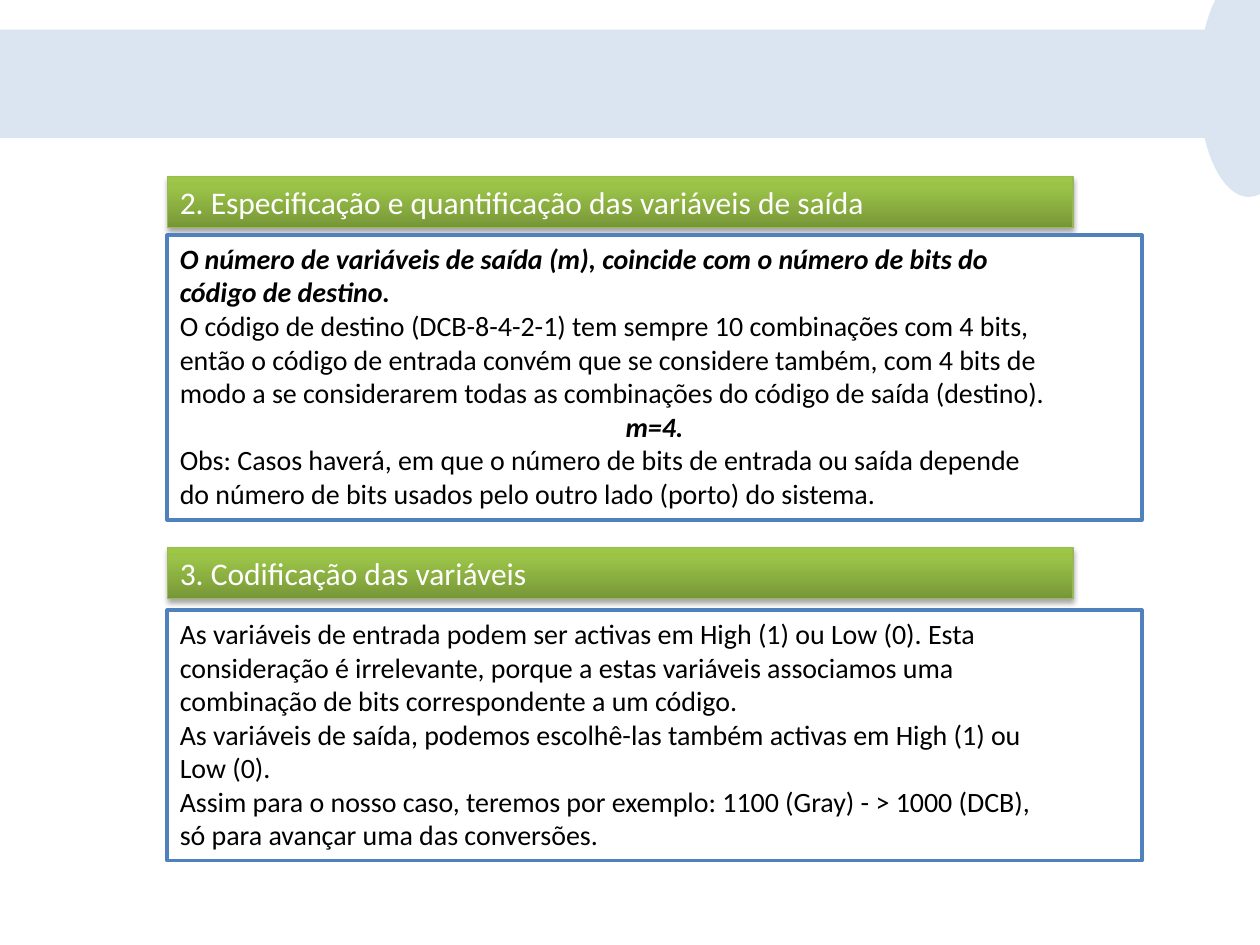
from copy import deepcopy

from lxml import etree
from pptx import Presentation
from pptx.dml.color import RGBColor
from pptx.enum.shapes import MSO_SHAPE
from pptx.enum.text import MSO_ANCHOR, MSO_AUTO_SIZE, PP_ALIGN
from pptx.oxml import parse_xml
from pptx.oxml.ns import nsdecls, qn
from pptx.util import Cm, Pt

RECTANGLE, OVAL = MSO_SHAPE.RECTANGLE, MSO_SHAPE.OVAL
TOP, FIXED_SIZE = MSO_ANCHOR.TOP, MSO_AUTO_SIZE.NONE
LEFT, CENTER, JUSTIFY = PP_ALIGN.LEFT, PP_ALIGN.CENTER, PP_ALIGN.JUSTIFY

COLORS = {
    "band": "DBE5F1", "heading_line": "98B955", "box_line": "4F81BD",
    "white": "FFFFFF", "black": "000000",
}
HEADING_GRADIENT = [(0, "779737"), (0.8, "9BC348"), (1, "9DC746")]
FONT = "Calibri"
STRONG = {"bold": True, "italic": True}

DECORATIONS = [
    (RECTANGLE, 0, 0.6, 24.61, 2.18),
    (OVAL, 24.16, -0.58, 2.03, 4.55),
]
SECTIONS = [
    {
        "heading": "2. Especificação e quantificação das variáveis de saída",
        "heading_top": 3.56, "box_top": 4.74, "box_height": 5.74,
        "lines": [
            ("O número de variáveis de saída (m), coincide com o número de bits do", STRONG),
            ("código de destino.", STRONG),
            ("O código de destino (DCB-8-4-2-1) tem sempre 10 combinações com 4 bits,", {}),
            ("então o código de entrada convém que se considere também, com 4 bits de", {}),
            ("modo a se considerarem todas as combinações do código de saída (destino).", {}),
            ("m=4.", {**STRONG, "align": CENTER}),
            ("Obs: Casos haverá, em que o número de bits de entrada ou saída depende", {}),
            ("do número de bits usados pelo outro lado (porto) do sistema.", {}),
        ],
    },
    {
        "heading": "3. Codificação das variáveis",
        "heading_top": 11.04, "box_top": 12.3, "box_height": 5.05,
        "lines": [
            ("As variáveis de entrada podem ser activas em High (1) ou Low (0). Esta", {}),
            ("consideração é irrelevante, porque a estas variáveis associamos uma", {}),
            ("combinação de bits correspondente a um código.", {}),
            ("As variáveis de saída, podemos escolhê-las também activas em High (1) ou", {}),
            ("Low (0).", {}),
            ("Assim para o nosso caso, teremos por exemplo: 1100 (Gray) - > 1000 (DCB),", {}),
            ("só para avançar uma das conversões.", {}),
        ],
    },
]
SECTION_LEFT, HEADING_WIDTH, HEADING_HEIGHT, BOX_WIDTH = 3.37, 18.26, 1.02, 19.65
HANGING = Cm(0.97)


def rgb(name):
    return RGBColor.from_string(COLORS[name])


def place(shape, left, top, width, height):
    shape.left, shape.top = Cm(left), Cm(top)
    shape.width, shape.height = Cm(width), Cm(height)


def write(paragraph, text, size=16, color="black", bold=False, italic=False, align=JUSTIFY):
    properties = paragraph._p.get_or_add_pPr()
    properties.set("marL", str(HANGING))
    properties.set("indent", str(-HANGING))
    etree.SubElement(properties, qn("a:buNone"))
    paragraph.alignment = align
    paragraph.space_before = Pt(0)
    run = paragraph.add_run()
    run.text = text
    font = run.font
    font.name, font.size, font.bold, font.italic = FONT, Pt(size), bold, italic
    font.color.rgb = rgb(color)


def prepare(shape, line_color, line_width):
    shape.line.color.rgb = rgb(line_color)
    shape.line.width = Pt(line_width)
    frame = shape.text_frame
    frame.word_wrap, frame.auto_size, frame.vertical_anchor = True, FIXED_SIZE, TOP
    return frame


def fill_heading(shape):
    fill = shape.fill
    fill.gradient()
    fill.gradient_angle = 90
    stop_list = shape._element.spPr.find(qn("a:gradFill")).find(qn("a:gsLst"))
    stop_list.append(deepcopy(stop_list[-1]))
    for stop, (position, color) in zip(fill.gradient_stops, HEADING_GRADIENT):
        stop.position = position
        stop.color.rgb = RGBColor.from_string(color)


def add_shadow(shape):
    shape._element.spPr.append(parse_xml(
        f'<a:effectLst {nsdecls("a")}><a:outerShdw blurRad="{Pt(3.1)}" dist="{Pt(1.8)}" '
        f'dir="5400000" rotWithShape="0"><a:srgbClr val="{COLORS["black"]}">'
        '<a:alpha val="35000"/></a:srgbClr></a:outerShdw></a:effectLst>'))


def main():
    presentation = Presentation()
    presentation.slide_width, presentation.slide_height = Cm(25.4), Cm(19.05)
    slide = presentation.slides.add_slide(presentation.slide_layouts.get_by_name("Comparison"))
    title, *section_placeholders = slide.placeholders
    title._element.getparent().remove(title._element)

    for kind, *position in DECORATIONS:
        shape = slide.shapes.add_shape(kind, *map(Cm, position))
        shape.shadow.inherit = False
        shape.fill.solid()
        shape.fill.fore_color.rgb = rgb("band")
        shape.line.fill.background()

    pairs = zip(section_placeholders[::2], section_placeholders[1::2])
    for section, (heading, box) in zip(SECTIONS, pairs):
        place(heading, SECTION_LEFT, section["heading_top"], HEADING_WIDTH, HEADING_HEIGHT)
        fill_heading(heading)
        frame = prepare(heading, "heading_line", 0.75)
        add_shadow(heading)
        write(frame.paragraphs[0], section["heading"], size=18, color="white", align=LEFT)

        place(box, SECTION_LEFT, section["box_top"], BOX_WIDTH, section["box_height"])
        box.fill.solid()
        box.fill.fore_color.rgb = rgb("white")
        frame = prepare(box, "box_line", 2)
        for index, (text, style) in enumerate(section["lines"]):
            paragraph = frame.add_paragraph() if index else frame.paragraphs[0]
            write(paragraph, text, **style)

    presentation.save("out.pptx")


if __name__ == "__main__":
    main()
